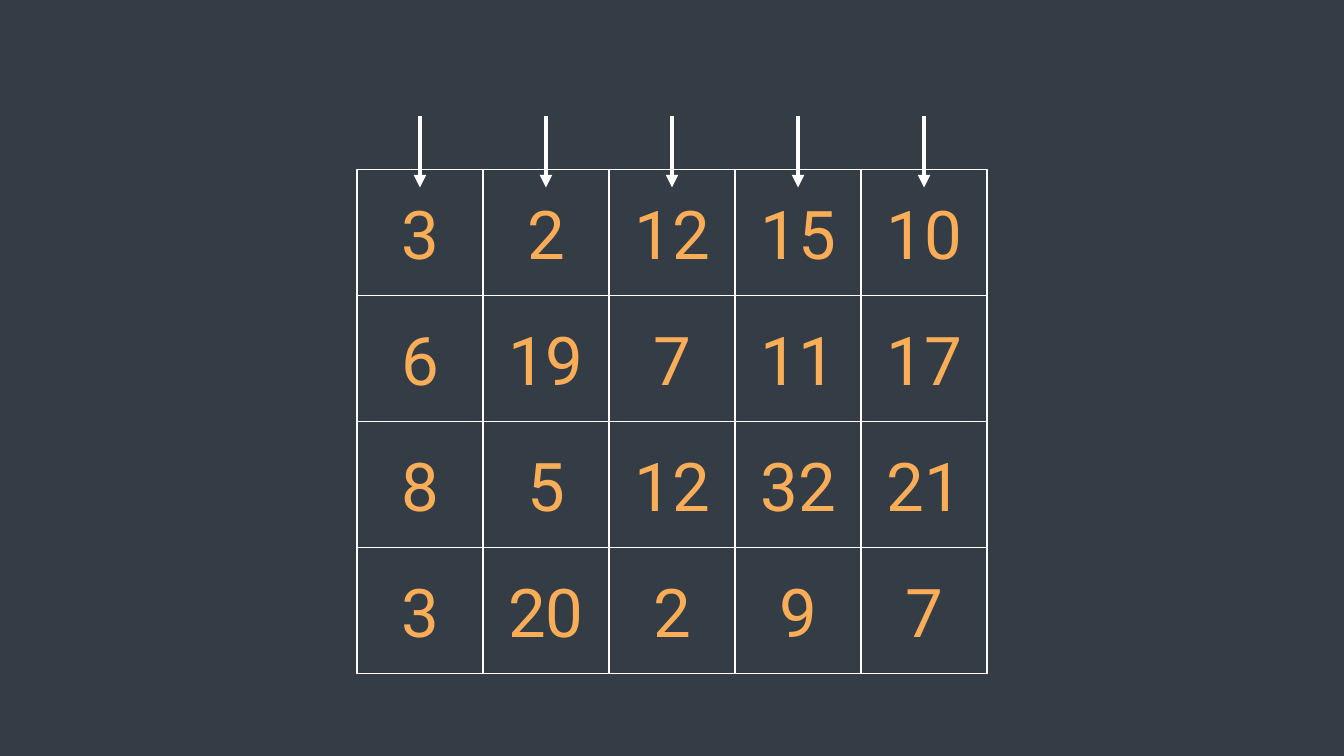
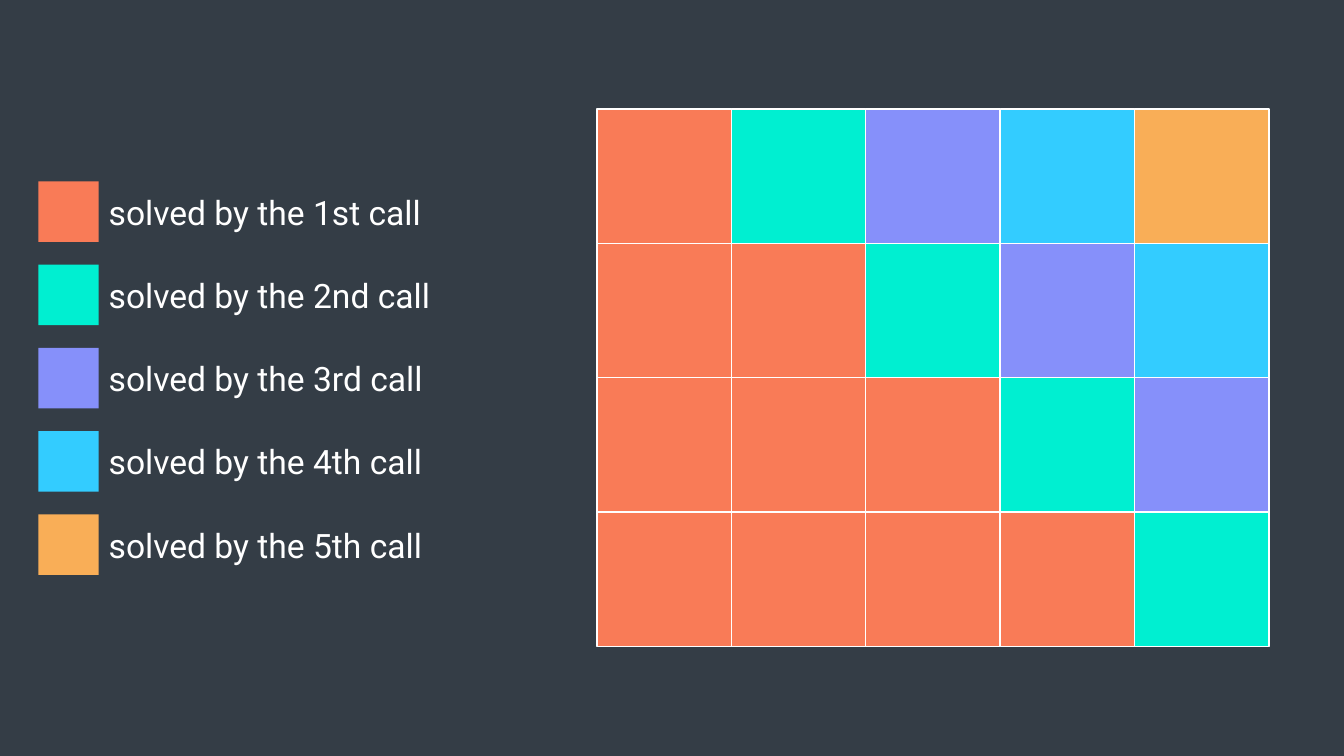
from dataclasses import dataclass
from typing import Optional

from lxml import etree
from pptx import Presentation
from pptx import util as u
from pptx.dml.color import RGBColor
from pptx.enum import shapes, text
from pptx.oxml import ns
from pptx.shapes.autoshape import Shape
from pptx.slide import Slide


@dataclass(frozen=True)
class Theme:
    background: str = "343D46"
    white: str = "FFFFFF"
    number: str = "F9AD57"
    calls: tuple[str, ...] = ("F97B57", "00EFD1", "8690FA", "33CCFF", "F9AE57")
    font: str = "Roboto"
    number_size: int = 48
    legend_size: int = 24
    border_width: int = 1
    arrow_width: int = 3


@dataclass(frozen=True)
class Grid:
    left: float
    top: float
    cell: float
    rows: int = 4
    columns: int = 5

    def cell_left(self, column: int) -> float:
        return self.left + column * self.cell

    def cell_top(self, row: int) -> float:
        return self.top + row * self.cell


@dataclass(frozen=True)
class LegendEntry:
    label: str
    color: str


THEME = Theme()
NUMBERS = (
    (3, 2, 12, 15, 10),
    (6, 19, 7, 11, 17),
    (8, 5, 12, 32, 21),
    (3, 20, 2, 9, 7),
)
NUMBER_GRID = Grid(left=3.54, top=1.68, cell=1.25)
CALL_GRID = Grid(left=5.92, top=1.08, cell=4 / 3)
LEGEND = tuple(
    LegendEntry(f"solved by the {ordinal} call", color)
    for ordinal, color in zip(("1st", "2nd", "3rd", "4th", "5th"), THEME.calls)
)


# Shared drawing functions
def rgb(color: str) -> RGBColor:
    return RGBColor.from_string(color)


def write_text(shape: Shape, content: str, *, size: int, color: str,
               align: text.PP_ALIGN = text.PP_ALIGN.LEFT,
               anchor: text.MSO_ANCHOR = text.MSO_ANCHOR.TOP) -> None:
    frame = shape.text_frame
    frame.word_wrap = True
    frame.vertical_anchor = anchor
    paragraph = frame.paragraphs[0]
    paragraph.alignment = align
    run = paragraph.add_run()
    run.text = content
    run.font.name = THEME.font
    run.font.size = u.Pt(size)
    run.font.color.rgb = rgb(color)


def add_square(slide: Slide, left: float, top: float, side: float, fill: str,
               border: Optional[str] = None) -> Shape:
    square = slide.shapes.add_shape(
        shapes.MSO_SHAPE.RECTANGLE,
        u.Inches(left), u.Inches(top), u.Inches(side), u.Inches(side))
    square.shadow.inherit = False
    square.fill.solid()
    square.fill.fore_color.rgb = rgb(fill)
    if border:
        square.line.color.rgb = rgb(border)
        square.line.width = u.Pt(THEME.border_width)
    else:
        square.line.fill.background()
    return square


def add_cell(slide: Slide, grid: Grid, row: int, column: int, fill: str) -> Shape:
    return add_square(slide, grid.cell_left(column), grid.cell_top(row),
                      grid.cell, fill, THEME.white)


def add_down_arrow(slide: Slide, x: float, top: float, bottom: float) -> None:
    arrow = slide.shapes.add_connector(
        shapes.MSO_CONNECTOR.STRAIGHT,
        u.Inches(x), u.Inches(top), u.Inches(x), u.Inches(bottom))
    arrow.line.color.rgb = rgb(THEME.white)
    arrow.line.width = u.Pt(THEME.arrow_width)
    outline = arrow.line._get_or_add_ln()
    etree.SubElement(outline, ns.qn("a:tailEnd"), type="triangle")
    etree.SubElement(arrow._element.spPr, ns.qn("a:effectLst"))


# Slide 1: number matrix with an arrow into each column
def build_matrix_slide(slide: Slide) -> None:
    grid = NUMBER_GRID
    for column in range(grid.columns):
        for row in range(grid.rows):
            cell = add_cell(slide, grid, row, column, THEME.background)
            write_text(cell, str(NUMBERS[row][column]),
                       size=THEME.number_size, color=THEME.number,
                       align=text.PP_ALIGN.CENTER,
                       anchor=text.MSO_ANCHOR.MIDDLE)
    for column in range(grid.columns):
        center = grid.cell_left(column) + grid.cell / 2
        add_down_arrow(slide, center, top=1.15, bottom=1.86)


# Slide 2: legend and the cells solved by each call
def add_legend(slide: Slide) -> None:
    left, top, side, pitch = 0.38, 1.8, 0.6, 0.826
    for index, entry in enumerate(LEGEND):
        entry_top = top + index * pitch
        add_square(slide, left, entry_top, side, entry.color)
        label = slide.shapes.add_textbox(
            u.Inches(left + side), u.Inches(entry_top + 0.05),
            u.Inches(3.66), u.Inches(0.5))
        write_text(label, entry.label, size=THEME.legend_size, color=THEME.white)
        label.text_frame.auto_size = text.MSO_AUTO_SIZE.SHAPE_TO_FIT_TEXT


def build_calls_slide(slide: Slide) -> None:
    for column in range(CALL_GRID.columns):
        for row in range(CALL_GRID.rows):
            call = max(0, column - row)
            add_cell(slide, CALL_GRID, row, column, THEME.calls[call])
    add_legend(slide)


def main() -> None:
    presentation = Presentation()
    presentation.slide_width = u.Inches(13.33)
    presentation.slide_height = u.Inches(7.5)
    background = presentation.slide_master.background.fill
    background.solid()
    background.fore_color.rgb = rgb(THEME.background)
    blank_layout = presentation.slide_layouts[6]
    for build in (build_matrix_slide, build_calls_slide):
        build(presentation.slides.add_slide(blank_layout))
    presentation.save("out.pptx")


if __name__ == "__main__":
    main()
